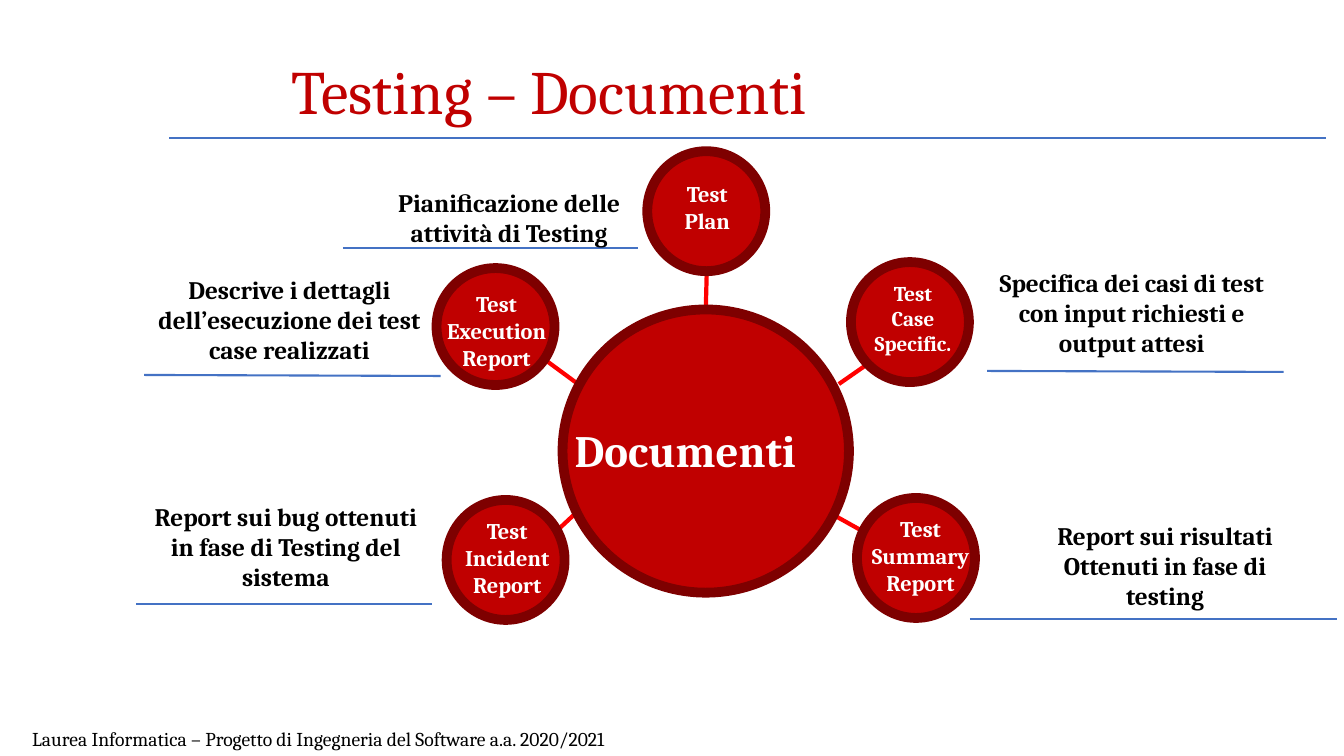
"""Build a slide with a hub of testing documents, its five reports and their descriptions."""
from dataclasses import dataclass

from lxml import etree
from pptx import Presentation
from pptx import util as u
from pptx.dml.color import RGBColor
from pptx.enum import shapes, text
from pptx.oxml.ns import qn

PX = 9144


@dataclass(frozen=True)
class Theme:
    font: str = "Cambria"
    red: str = "C00000"
    rim: str = "7E0000"
    spoke: str = "FF0000"
    rule: str = "4472C4"
    white: str = "FFFFFF"
    black: str = "000000"
    title: int = 44
    hub: int = 32
    note: int = 18
    node: int = 16
    small_node: int = 15
    footer: int = 14


T = Theme()
CENTER, LEFT = text.PP_ALIGN.CENTER, text.PP_ALIGN.LEFT


def add_line(ends, color, width):
    line = s.shapes.add_connector(shapes.MSO_CONNECTOR.STRAIGHT, *(v * PX for v in ends))
    line.line.color.rgb = RGBColor.from_string(color)
    line.line.width = u.Pt(width)
    etree.SubElement(line._element.spPr, qn("a:effectLst"))


def write(sp, box, words, size, color, bold=True, align=CENTER):
    sp.left, sp.top, sp.width, sp.height = (v * PX for v in box)
    tf = sp.text_frame
    tf.text = words
    tf.word_wrap = True
    for p in tf.paragraphs:
        p.alignment = align
        for r in p.runs:
            r.font.name = T.font
            r.font.size = u.Pt(size)
            r.font.bold = bold
            r.font.color.rgb = RGBColor.from_string(color)
    return tf


prs = Presentation()
prs.slide_width, prs.slide_height = 1333 * PX, 750 * PX
s = prs.slides.add_slide(prs.slide_layouts[5])

tf = write(s.shapes.title, (279, 55, 975, 78), "Testing – Documenti",
           T.title, T.red, False, LEFT)
tf.vertical_anchor = text.MSO_ANCHOR.MIDDLE
tf.paragraphs[0].line_spacing = 0.9
add_line((168, 137, 1315, 137), T.rule, 1.5)

spokes = [
    (700, 307, 701, 269),
    (832, 381, 865, 358),
    (827, 511, 861, 530),
    (539, 539, 570, 510),
    (572, 380, 538, 355),
]
for ends in spokes:
    add_line(ends, T.spoke, 3)

circles = [
    ((558, 307, 284, 281), (558, 414, 280, 64), "Documenti", T.hub, LEFT),
    ((642, 150, 117, 119), (624, 174, 155, 64), "Test\nPlan", T.node, CENTER),
    ((433, 266, 117, 116), (415, 283, 155, 91), "Test Execution Report", T.node, CENTER),
    ((844, 260, 117, 119), (842, 273, 127, 86), "Test\nCase Specific.", T.small_node, CENTER),
    ((443, 496, 117, 119), (437, 508, 132, 91), "Test Incident Report", T.node, CENTER),
    ((850, 494, 117, 119), (842, 506, 142, 91), "Test Summary Report", T.node, CENTER),
]
for circle, box, words, size, align in circles:
    sp = s.shapes.add_shape(shapes.MSO_SHAPE.OVAL, *(v * PX for v in circle))
    sp.shadow.inherit = False
    sp.fill.solid()
    sp.fill.fore_color.rgb = RGBColor.from_string(T.red)
    sp.line.color.rgb = RGBColor.from_string(T.rim)
    sp.line.width = u.Pt(7)
    tf = write(s.shapes.add_textbox(0, 0, 0, 0), box, words, size, T.white, align=align)
    if size == T.hub:
        tf.margin_left = tf.margin_right = 12 * PX

notes = [
    ((138, 267, 298, 101), (143, 372, 437, 373),
     "Descrive i dettagli dell’esecuzione dei test case realizzati"),
    ((132, 492, 303, 101), (135, 599, 428, 599),
     "Report sui bug ottenuti in fase di Testing del sistema"),
    ((356, 181, 298, 71), (340, 246, 633, 246),
     "Pianiﬁcazione delle attività di Testing"),
    ((962, 260, 321, 101), (979, 368, 1273, 369),
     "Specifica dei casi di test con input richiesti e output attesi"),
    ((957, 511, 397, 101), (962, 614, 1326, 614),
     "Report sui risultati\nOttenuti in fase di\ntesting"),
]
for box, underline, words in notes:
    add_line(underline, T.rule, 1.5)
    write(s.shapes.add_textbox(0, 0, 0, 0), box, words, T.note, T.black)

write(s.shapes.add_textbox(0, 0, 0, 0), (22, 716, 886, 34),
      "Laurea Informatica – Progetto di Ingegneria del Software a.a. 2020/2021",
      T.footer, T.black, False, LEFT)

prs.save("out.pptx")
